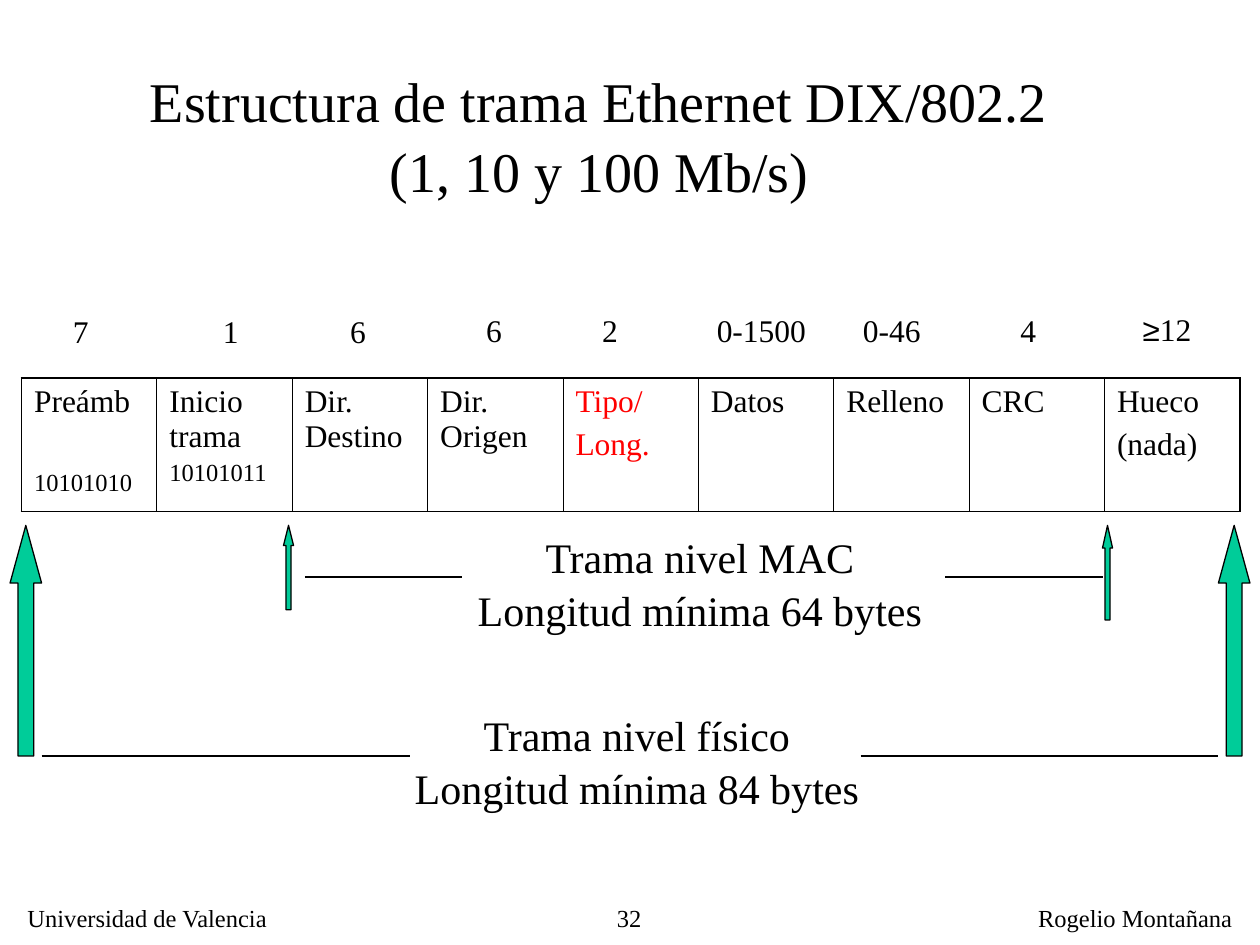
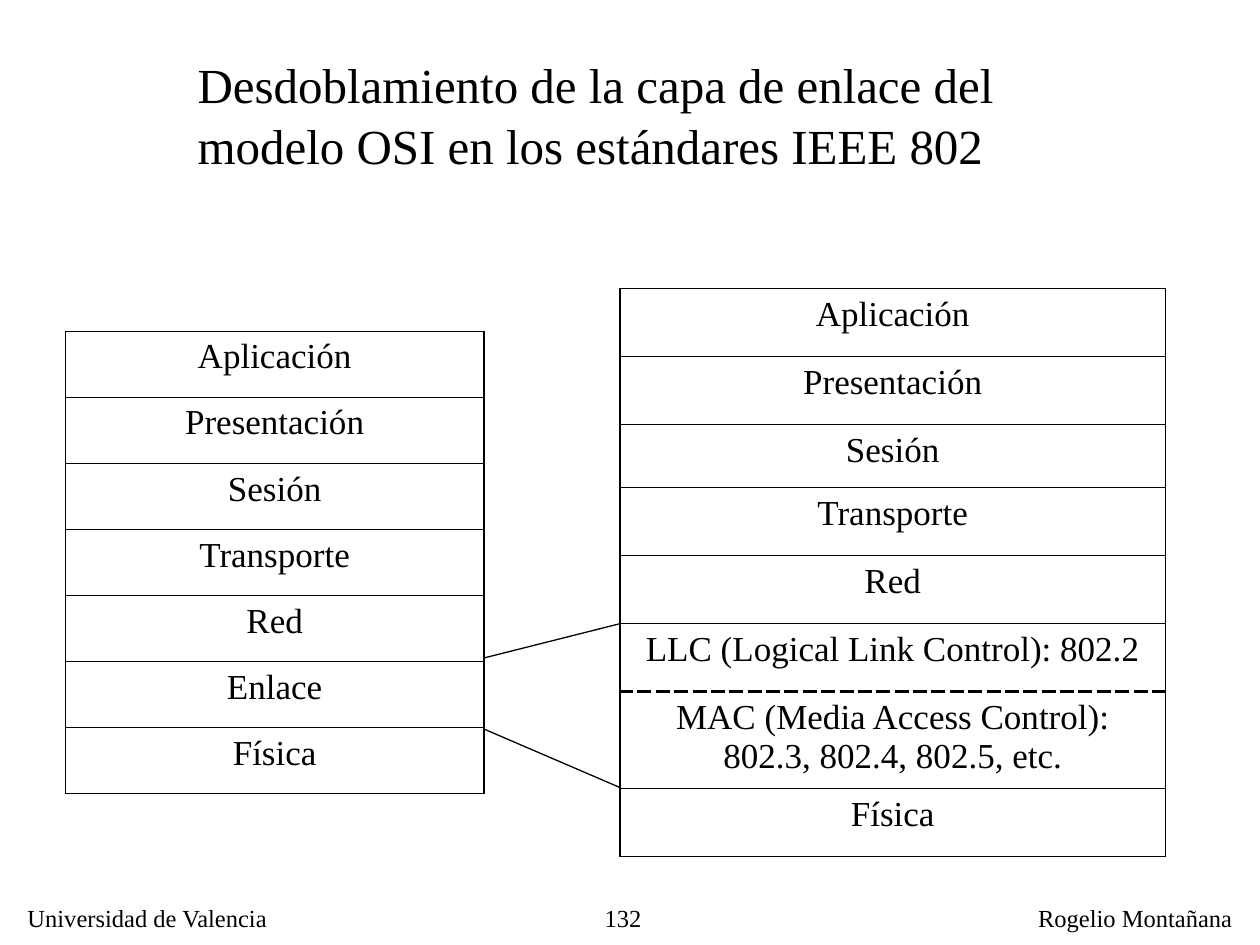
from typing import NamedTuple

from lxml import etree
from pptx import Presentation
from pptx.dml.color import RGBColor
from pptx.enum.shapes import MSO_CONNECTOR, MSO_SHAPE
from pptx.enum.text import PP_ALIGN
from pptx.oxml.ns import qn
from pptx.util import Inches, Pt

LEFT, MID, RIGHT = PP_ALIGN.LEFT, PP_ALIGN.CENTER, PP_ALIGN.RIGHT
STRAIGHT, ARROW = MSO_CONNECTOR.STRAIGHT, MSO_SHAPE.UP_ARROW
COLORS = {"ink": "000000", "red": "FF0000", "green": "00CC99"}
SERIF, SANS = "Times New Roman", "Arial"
THIN, THICK, DASH = 0.45, 1.08, 1.47


class Line(NamedTuple):
    """One paragraph: words, size, colour and space before."""
    words: str
    size: float
    color: str = "ink"
    before: float = 0


class Box(NamedTuple):
    """A text box whose lines share one size."""
    x: float
    y: float
    w: float
    h: float
    words: list[str]
    size: float
    align: PP_ALIGN = LEFT


class Rule(NamedTuple):
    x1: float
    y1: float
    x2: float
    y2: float


class Arrow(NamedTuple):
    x: float
    w: float
    h: float
    head: float


class Count(NamedTuple):
    """Number of bytes above a field."""
    x: float
    y: float
    w: float
    words: str


class Edge(NamedTuple):
    width: float
    dash: str = "solid"


class Layer(NamedTuple):
    words: str
    height: float


# Shared drawing
def style(run, size: float, color: str = "ink", face: str = SERIF) -> None:
    font = run.font
    font.name, font.size = face, Pt(size)
    font.color.rgb = RGBColor.from_string(COLORS[color])


def write(frame, lines: list[Line], align: PP_ALIGN) -> None:
    frame.text = "\n".join(line.words for line in lines)
    for para, line in zip(frame.paragraphs, lines):
        para.alignment = align
        if line.before:
            para.space_before = Pt(line.before)
        for run in para.runs:
            style(run, line.size, line.color)


def draw_box(slide, box: Box):
    shape = slide.shapes.add_textbox(*map(Inches, box[:4]))
    frame = shape.text_frame
    frame.word_wrap = False
    lines = [Line(words, box.size, before=1.5 if n else 0)
             for n, words in enumerate(box.words)]
    write(frame, lines, box.align)
    return frame


def draw_rule(slide, rule: Rule) -> None:
    line = slide.shapes.add_connector(STRAIGHT, *map(Inches, rule))
    line.line.width = Pt(0.75)
    line.line.color.rgb = RGBColor.from_string(COLORS["ink"])
    etree.SubElement(line._element.spPr, qn("a:effectLst"))


def draw_arrow(slide, arrow: Arrow) -> None:
    shape = slide.shapes.add_shape(
        ARROW, Inches(arrow.x), Inches(4.17), Inches(arrow.w), Inches(arrow.h))
    shape.shadow.inherit = False
    shape.adjustments[1] = arrow.head
    shape.fill.solid()
    shape.fill.fore_color.rgb = RGBColor.from_string(COLORS["green"])
    shape.line.width = Pt(0.75)
    shape.line.color.rgb = RGBColor.from_string(COLORS["ink"])


def add_grid(slide, x: float, y: float, cols: list[float], rows: list[float]):
    grid = slide.shapes.add_table(
        len(rows), len(cols), Inches(x), Inches(y),
        Inches(sum(cols)), Inches(sum(rows))).table
    grid.first_row = grid.horz_banding = False
    for col, width in zip(grid.columns, cols):
        col.width = Inches(width)
    for row, height in zip(grid.rows, rows):
        row.height = Inches(height)
    return grid


def fill_cell(cell, lines: list[Line], align: PP_ALIGN, left: Edge,
              right: Edge, top: Edge, low: Edge) -> None:
    write(cell.text_frame, lines, align)
    props = cell._tc.get_or_add_tcPr()
    for side, edge in zip("LRTB", (left, right, top, low)):
        line = etree.SubElement(props, qn(f"a:ln{side}"), w=str(Pt(edge.width)))
        fill = etree.SubElement(line, qn("a:solidFill"))
        etree.SubElement(fill, qn("a:srgbClr"), val=COLORS["ink"])
        etree.SubElement(line, qn("a:prstDash"), val=edge.dash)
    cell.fill.background()


def add_slide(deck, title: Box, number: str):
    slide = deck.slides.add_slide(deck.slide_layouts[6])
    for box in (title,
                Box(4.13, 7.12, 1.06, 0.31, [number], 14, RIGHT),
                Box(0.12, 7.12, 2.13, 0.34, ["Universidad de Valencia"], 14),
                Box(8.14, 7.12, 1.74, 0.34, ["Rogelio Montañana"], 14)):
        draw_box(slide, box)
    return slide


# Frame slide
FIELDS = [
    [Line("Preámb", 18), Line("10101010", 14, before=28.7)],
    [Line("Inicio trama", 18), Line("10101011", 14, before=3.5)],
    [Line("Dir. Destino", 18)],
    [Line("Dir. Origen", 18)],
    [Line("Tipo/", 18, "red"), Line("Long.", 18, "red", 4.5)],
    [Line("Datos", 18)],
    [Line("Relleno", 18)],
    [Line("CRC", 18)],
    [Line("Hueco", 18), Line("(nada)", 18, before=4.5)],
]
COUNTS = [
    Count(0.48, 2.43, 0.32, "7"), Count(1.67, 2.43, 0.32, "1"),
    Count(2.68, 2.43, 0.32, "6"), Count(3.76, 2.42, 0.32, "6"),
    Count(4.68, 2.42, 0.32, "2"), Count(5.59, 2.42, 0.91, "0-1500"),
    Count(6.75, 2.42, 0.66, "0-46"), Count(8, 2.42, 0.32, "4"),
]
ARROWS = [Arrow(2.25, 0.08, 0.67, 2), Arrow(8.75, 0.08, 0.75, 2.25),
          Arrow(0.08, 0.25, 1.83, 1.83), Arrow(9.67, 0.25, 1.83, 1.83)]
SPANS = [Rule(2.42, 4.58, 3.67, 4.58), Rule(7.5, 4.58, 8.75, 4.58),
         Rule(0.33, 6, 3.25, 6), Rule(6.83, 6, 9.67, 6)]
NOTES = [
    Box(3.69, 4.17, 3.73, 0.9,
        ["Trama nivel MAC", "Longitud mínima 64 bytes"], 24, MID),
    Box(3.19, 5.58, 3.73, 0.9,
        ["Trama nivel físico", "Longitud mínima 84 bytes"], 24, MID),
]


def frame_slide(deck) -> None:
    title = Box(1.09, 0.48, 7.33, 1.17,
                ["Estructura de trama Ethernet DIX/802.2",
                 "(1, 10 y 100 Mb/s)"], 32, MID)
    slide = add_slide(deck, title, "32")

    # Fields, with a thick outer edge
    last = len(FIELDS) - 1
    grid = add_grid(slide, 0.17, 3, [9.67 / len(FIELDS)] * len(FIELDS), [1.06])
    thin, thick = Edge(THIN), Edge(THICK)
    for n, lines in enumerate(FIELDS):
        fill_cell(grid.cell(0, n), lines, LEFT, thin if n else thick,
                  thin if n < last else thick, thick, thick)

    # Byte counts; the last one mixes two fonts
    for x, y, w, words in COUNTS:
        draw_box(slide, Box(x, y, w, 0.4, [words], 18))
    para = draw_box(slide, Box(8.97, 2.41, 0.65, 0.4, ["≥"], 18)).paragraphs[0]
    style(para.runs[0], 18, face=SANS)
    run = para.add_run()
    run.text = "12"
    style(run, 18)

    # Extent of each level
    for arrow in ARROWS:
        draw_arrow(slide, arrow)
    for rule in SPANS:
        draw_rule(slide, rule)
    for note in NOTES:
        draw_box(slide, note)


# Layer slide
UPPER = ["Aplicación", "Presentación", "Sesión", "Transporte", "Red"]
MODEL = [Layer(words, 3.67 / 7) for words in UPPER + ["Enlace", "Física"]]
SPLIT = [Layer(words, 0.5 if words == "Sesión" else 0.54) for words in UPPER] + [
    Layer("LLC (Logical Link Control): 802.2", 0.54),
    Layer("MAC (Media Access Control): 802.3, 802.4, 802.5, etc.", 0.77),
    Layer("Física", 0.54),
]
LINKS = [Rule(3.85, 5.22, 4.92, 4.95), Rule(3.85, 5.79, 4.92, 6.25)]


def draw_stack(slide, x: float, y: float, width: float, stack: list[Layer],
               cut: int | None = None) -> None:
    """Draw layers, with a dashed edge above row number cut."""
    grid = add_grid(slide, x, y, [width], [layer.height for layer in stack])
    side = Edge(THICK)
    edges = [Edge(DASH, "dash") if n == cut else side
             for n in range(len(stack) + 1)]
    for n, layer in enumerate(stack):
        fill_cell(grid.cell(n, 0), [Line(layer.words, 20)], MID,
                  side, side, edges[n], edges[n + 1])


def layer_slide(deck) -> None:
    title = Box(1.47, 0.38, 6.61, 1.04,
                ["Desdoblamiento de la capa de enlace del",
                 "modelo OSI en los estándares IEEE 802"], 28)
    slide = add_slide(deck, title, "132")
    draw_stack(slide, 0.52, 2.63, 3.32, MODEL)
    draw_stack(slide, 4.92, 2.29, 4.33, SPLIT, cut=6)
    for link in LINKS:
        draw_rule(slide, link)


def main() -> None:
    deck = Presentation()
    deck.slide_width, deck.slide_height = Inches(10), Inches(7.5)
    frame_slide(deck)
    layer_slide(deck)
    deck.save("out.pptx")


if __name__ == "__main__":
    main()
